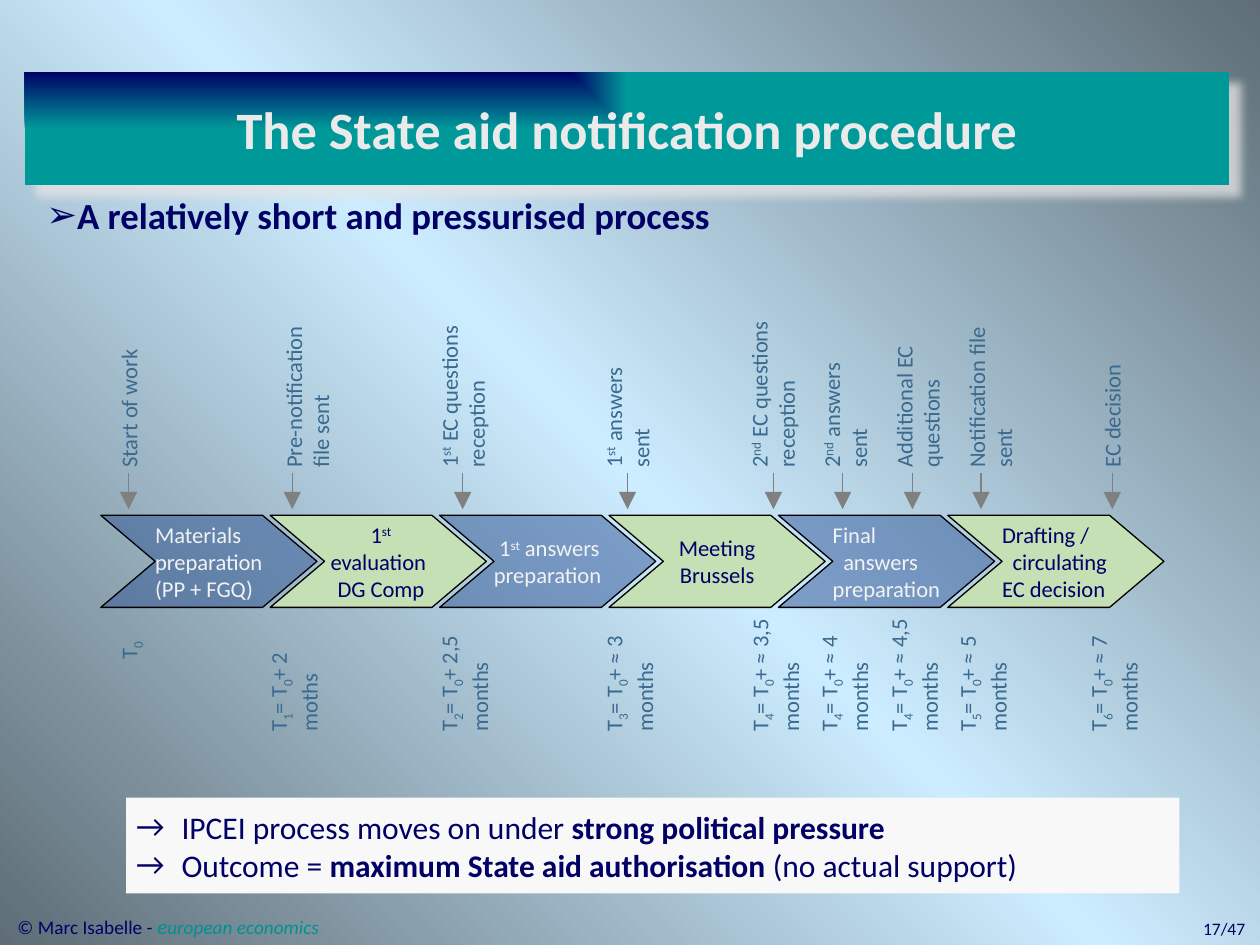
from pptx import Presentation
from pptx.dml.color import RGBColor
from pptx.enum.shapes import MSO_CONNECTOR, MSO_SHAPE
from pptx.enum.text import MSO_ANCHOR, PP_ALIGN
from pptx.oxml import parse_xml
from pptx.oxml.ns import nsdecls, qn
from pptx.util import Pt

LEFT, CENTER, RIGHT, JUSTIFY = PP_ALIGN.LEFT, PP_ALIGN.CENTER, PP_ALIGN.RIGHT, PP_ALIGN.JUSTIFY
MIDDLE, TOP = MSO_ANCHOR.MIDDLE, MSO_ANCHOR.TOP
CHEVRON, RECTANGLE = MSO_SHAPE.CHEVRON, MSO_SHAPE.RECTANGLE
STRAIGHT = MSO_CONNECTOR.STRAIGHT

FONT = "Calibri"
LABEL_SIZE = 12.9
COLORS = {
    "navy": "000066", "teal": "009999", "credit": "009193", "title": "EAEAEA",
    "shadow": "E7E6E6", "panel": "F8F8F8", "label": "3A6A8F", "green": "C5E0B4",
    "blue": "2F5597", "light": "F2F2F2", "black": "000000", "arrow": "808080",
    "edge": "5E6D76", "glow": "CCECFF",
}

TITLE = "The State aid notification procedure"
HEADING = "A relatively short and pressurised process"
CONCLUSIONS = [
    "IPCEI process moves on under |*strong political pressure",
    "Outcome = |*maximum State aid authorisation| (no actual support)",
]
STEPS = [
    ("blue", "light", LEFT, [("Materials", 0), ("preparation", 0), ("(PP + FGQ)", 0)]),
    ("green", "navy", CENTER, [("1|^st", 3), ("evaluation", 0), ("DG Comp", 3)]),
    ("blue", "light", LEFT, [("1|^st| answers", 3), ("preparation", 0)]),
    ("green", "navy", CENTER, [("Meeting", 0), ("Brussels", 0)]),
    ("blue", "light", LEFT, [("Final", 0), ("answers preparation", 6)]),
    ("green", "navy", LEFT, [("Drafting /", 0), ("circulating", 6), ("EC decision", 0)]),
]
MILESTONES = [
    (73.5, 73.5, ["Start of work"], 83.5, ["T|_0"], 25.2),
    (167, 175.7, ["Pre-notification file sent"], 96.5, ["T|_1|= T|_0|+ 2 moths"], 73.4),
    (264.4, 264.6, ["1|^st| EC questions reception"], 104.4, ["T|_2|= T|_0|+ 2,5 months"], 73.4),
    (358.6, 358.6, ["1|^st| answers sent"], 86.4, ["T|_3|= T|_0|+ ≈ 3 months"], 73.4),
    (442, 441.7, ["2|^nd| EC questions reception"], 104.4, ["T|_4|= T|_0|+ ≈ 3,5", "months"], 87.1),
    (481.5, 483.1, ["2|^nd| answers sent"], 96.5, ["T|_4|= T|_0|+ ≈ 4", "months"], 87.1),
    (521.4, 524.5, ["Additional EC questions"], 104.4, ["T|_4|= T|_0|+ ≈ 4,5", "months"], 87.1),
    (560.6, 565.9, ["Notification file sent"], 96.5, ["T|_5|= T|_0|+ ≈ 5 months"], 81.4),
    (635.6, 635.4, ["EC decision"], 75.6, ["T|_6|= T|_0|+ ≈ 7 months"], 81.4),
]
STEP_LEFT, STEP_TOP, STEP_PITCH, STEP_W, STEP_H = 57.6, 294.5, 96.8, 123.5, 52.6
LABEL_BOTTOM, TIME_BOTTOM, START_BOTTOM = 274.3, 425.2, 384.1
ARROW_TOP, ARROW_BOTTOM = 270, 291


def rgb(name):
    return RGBColor.from_string(COLORS[name])


def add_runs(p, markup, size, color):
    """Add runs split by bars; a leading ^, _ or * marks super, sub or bold."""
    for part in markup.split("|"):
        mark = part[0] if part[0] in "^_*" else ""
        r = p.add_run()
        r.text = part[len(mark):]
        r.font.name, r.font.size = FONT, Pt(size)
        r.font.color.rgb = rgb(color)
        if mark == "*":
            r.font.bold = True
        elif mark:
            r.font._element.set("baseline", "30000" if mark == "^" else "-25000")


def write(tf, lines, size, color, align=LEFT, anchor=TOP, insets=(7.2, 3.6)):
    tf.word_wrap = True
    tf.vertical_anchor = anchor
    tf.margin_left = tf.margin_right = Pt(insets[0])
    tf.margin_top = tf.margin_bottom = Pt(insets[1])
    for i, line in enumerate(lines):
        p = tf.add_paragraph() if i else tf.paragraphs[0]
        p.alignment = align
        add_runs(p, line, size, color)


def set_indent(p, margin, first, bullet=None):
    pPr = p._p.get_or_add_pPr()
    pPr.set("marL", str(Pt(margin)))
    pPr.set("indent", str(Pt(first)))
    if bullet:
        pPr.append(parse_xml(f'<a:buFont {nsdecls("a")} typeface="{FONT}"/>'))
        pPr.append(parse_xml(f'<a:buChar {nsdecls("a")} char="{bullet}"/>'))


def set_gradient(element, stops, direction):
    stop_xml = "".join(
        f'<a:gs pos="{pos * 1000}"><a:srgbClr val="{COLORS[c]}"><a:alpha val="{alpha * 1000}"/>'
        f'</a:srgbClr></a:gs>' for pos, c, alpha in stops)
    solid = element.find(".//" + qn("a:solidFill"))
    solid.getparent().replace(solid, parse_xml(
        f'<a:gradFill {nsdecls("a")} rotWithShape="1"><a:gsLst>{stop_xml}</a:gsLst>{direction}</a:gradFill>'))


def add_textbox(s, x, y, w, h, lines, size, color, align=LEFT):
    sp = s.shapes.add_textbox(Pt(x), Pt(y), Pt(w), Pt(h))
    write(sp.text_frame, lines, size, color, align)
    return sp


def add_shape(s, kind, x, y, w, h, fill):
    sp = s.shapes.add_shape(kind, Pt(x), Pt(y), Pt(w), Pt(h))
    sp.shadow.inherit = False
    sp.fill.solid()
    sp.fill.fore_color.rgb = rgb(fill)
    sp.line.fill.background()
    return sp


def add_vertical_label(s, x, bottom, length, lines, height):
    sp = add_textbox(s, x - length / 2, bottom - length / 2 - height / 2, length, height,
                     lines, LABEL_SIZE, "label")
    sp.rotation = 270
    return sp


def add_arrow(s, x):
    line = s.shapes.add_connector(STRAIGHT, Pt(x), Pt(ARROW_TOP), Pt(x), Pt(ARROW_BOTTOM))
    line.line.color.rgb = rgb("arrow")
    line.line.width = Pt(0.75)
    line.line._get_or_add_ln().append(
        parse_xml(f'<a:tailEnd {nsdecls("a")} type="triangle" w="lg" len="lg"/>'))
    line._element.spPr.append(parse_xml(f'<a:effectLst {nsdecls("a")}/>'))


def add_title(s):
    sp = s.shapes.title
    sp.left, sp.top, sp.width, sp.height = Pt(14.2), Pt(41.2), Pt(688.3), Pt(64.8)
    sp.fill.solid()
    set_gradient(sp._element, [(0, "navy", 100), (100, "teal", 100)],
                 '<a:path path="rect"><a:fillToRect r="100000" b="100000"/></a:path>')
    sp._element.spPr.append(parse_xml(
        f'<a:effectLst {nsdecls("a")}><a:outerShdw blurRad="{Pt(5)}" dist="{Pt(8.5)}" dir="2700000" '
        f'algn="tl" rotWithShape="0"><a:srgbClr val="{COLORS["shadow"]}"><a:alpha val="75000"/>'
        '</a:srgbClr></a:outerShdw></a:effectLst>'))
    write(sp.text_frame, ["*" + TITLE], 30, "title", CENTER, MIDDLE, (14.4, 14.4))


def add_step(s, i, fill, color, align, lines):
    sp = add_shape(s, CHEVRON, STEP_LEFT + i * STEP_PITCH, STEP_TOP, STEP_W, STEP_H, fill)
    sp.adjustments[0] = 0.59
    if fill == "blue":
        sp._element.spPr.find(".//" + qn("a:srgbClr")).append(
            parse_xml(f'<a:alpha {nsdecls("a")} val="50000"/>'))
    sp.line.color.rgb = rgb("black")
    sp.line.width = Pt(0.75)
    write(sp.text_frame, [text for text, _ in lines], LABEL_SIZE, color, align, MIDDLE, (0, 3.6))
    for p, (_, first) in zip(sp.text_frame.paragraphs, lines):
        set_indent(p, 0, first)


def main():
    prs = Presentation()
    prs.slide_width, prs.slide_height = Pt(720), Pt(540)
    s = prs.slides.add_slide(prs.slide_layouts[5])
    s.background.fill.solid()
    set_gradient(s._element, [(0, "edge", 50), (50, "glow", 50), (100, "edge", 50)],
                 '<a:lin ang="18900000" scaled="0"/>')

    add_textbox(s, 632.9, 521.3, 85.7, 19.4, ["17/47"], 10, "navy", RIGHT)
    heading = add_textbox(s, 19.4, 109.5, 651.6, 376.5, ["*" + HEADING], 21, "navy", JUSTIFY)
    p = heading.text_frame.paragraphs[0]
    set_indent(p, 13.7, -20.9, "➢")
    p.line_spacing = 0.9

    credit = add_textbox(s, 2.9, 518.4, 188, 21.6, ["© Marc Isabelle - "], 11, "navy")
    credit.text_frame.word_wrap = False
    p = credit.text_frame.paragraphs[0]
    add_runs(p, "e", 12, "credit")
    add_runs(p, "uropean economics", 11, "credit")
    for r in p.runs[1:]:
        r.font.italic = True

    add_title(s)
    panel = add_shape(s, RECTANGLE, 72, 455.8, 602, 54.7, "panel")
    write(panel.text_frame, CONCLUSIONS, 18, "navy", JUSTIFY, TOP, (5.8, 5.8))
    for p in panel.text_frame.paragraphs:
        set_indent(p, 25.9, -25.9, "→")

    for i, step in enumerate(STEPS):
        add_step(s, i, *step)
    for i, (x, label_x, label, label_len, time, time_len) in enumerate(MILESTONES):
        single = i in (0, len(MILESTONES) - 1)
        add_vertical_label(s, label_x, LABEL_BOTTOM, label_len, label, 23 if single else 38.9)
        add_arrow(s, x)
        sp = add_vertical_label(s, x, TIME_BOTTOM if i else START_BOTTOM, time_len, time,
                                38.9 if i else 23)
        sp.text_frame.word_wrap = i > 0
    prs.save("out.pptx")


if __name__ == "__main__":
    main()
